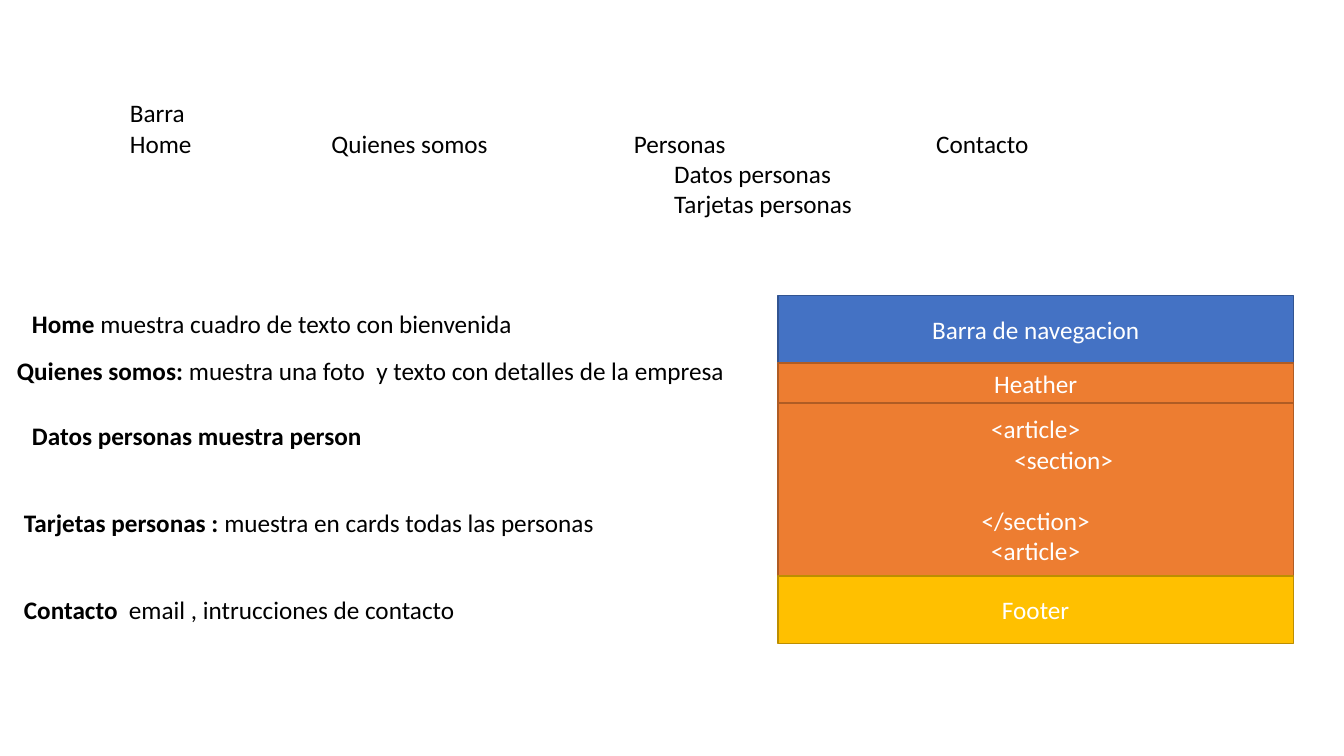
from pptx import Presentation
from pptx.dml.color import RGBColor
from pptx.enum.shapes import MSO_SHAPE as Shape
from pptx.enum.text import MSO_ANCHOR as Anchor, MSO_AUTO_SIZE as AutoSize, PP_ALIGN as Align
from pptx.oxml.ns import qn
from pptx.util import Pt
from lxml.etree import SubElement


def color(hex_string):
    return RGBColor.from_string(hex_string)


def add_run(paragraph, text, bold=False, fill="000000", size=18, font="Calibri"):
    run = paragraph.add_run()
    run.text = text
    run.font.name = font
    run.font.size = Pt(size)
    run.font.bold = bold
    run.font.color.rgb = color(fill)


def set_indent(paragraph, indent):
    paragraph._p.get_or_add_pPr().set("marL", str(Pt(indent)))


def set_tab_stops(paragraph, stops):
    tab_list = SubElement(paragraph._p.get_or_add_pPr(), qn("a:tabLst"))
    for stop in stops:
        SubElement(tab_list, qn("a:tab"), pos=str(Pt(stop)), algn="l")


def add_text_frame(slide, left, top, width, height):
    frame = slide.shapes.add_textbox(Pt(left), Pt(top), Pt(width), Pt(height)).text_frame
    frame.word_wrap = True
    frame.auto_size = AutoSize.SHAPE_TO_FIT_TEXT
    return frame


def add_menu(slide, left, top, width, height):
    frame = add_text_frame(slide, left, top, width, height)
    add_run(frame.paragraphs[0], "Barra")
    # Menu entries on tab stops
    entries = frame.add_paragraph()
    set_tab_stops(entries, (144, 360, 576))
    add_run(entries, "Home\tQuienes somos\tPersonas\tContacto")
    # Submenu below Personas
    for entry in ("Datos personas", "Tarjetas personas"):
        paragraph = frame.add_paragraph()
        set_indent(paragraph, 388.8)
        add_run(paragraph, entry)


def add_descriptions(slide, left, top, width):
    # Offset from left, offset from top, bold label, explanation
    descriptions = (
        (10.8, 0, "Home ", "muestra cuadro de texto con bienvenida"),
        (0, 33.4, "Quienes somos: ", "muestra una foto  y texto con detalles de la empresa"),
        (10.8, 80, "Datos personas muestra person", ""),
        (5, 142.4, "Tarjetas personas : ", "muestra en cards todas las personas"),
        (5, 204.6, "Contacto ", " email , intrucciones de contacto"),
    )
    for shift, drop, label, explanation in descriptions:
        frame = add_text_frame(slide, left + shift, top + drop, width - shift, 28.8)
        add_run(frame.paragraphs[0], label, bold=True)
        if explanation:
            add_run(frame.paragraphs[0], explanation)


def add_band(slide, left, top, width, height, fill, line, text):
    band = slide.shapes.add_shape(Shape.RECTANGLE, Pt(left), Pt(top), Pt(width), Pt(height))
    band.shadow.inherit = False
    band.fill.solid()
    band.fill.fore_color.rgb = color(fill)
    band.line.color.rgb = color(line)
    band.line.width = Pt(1)
    frame = band.text_frame
    frame.word_wrap = True
    frame.vertical_anchor = Anchor.MIDDLE
    for index, content in enumerate(text.split("\n")):
        paragraph = frame.add_paragraph() if index else frame.paragraphs[0]
        paragraph.alignment = Align.CENTER
        add_run(paragraph, content, fill="FFFFFF")
    return frame.paragraphs


def add_page_layout(slide, left, top, width):
    # Bands stacked from top to bottom
    bands = (
        (48.2, "4472C4", "325491", "Barra de navegacion"),
        (28.8, "ED7D31", "AF5C24", "Heather"),
        (123.6, "ED7D31", "AF5C24", "<article>\n<section>\n</section>\n<article>"),
        (48.2, "FFC000", "BD8E00", "Footer"),
    )
    for height, fill, line, text in bands:
        paragraphs = add_band(slide, left, top, width, height, fill, line, text)
        if len(paragraphs) > 1:
            # Nested tag, with room for its content
            set_indent(paragraphs[1], 40)
            paragraphs[2].space_before = Pt(22)
        top += height


def main():
    presentation = Presentation()
    presentation.slide_width, presentation.slide_height = Pt(960), Pt(540)
    slide = presentation.slides.add_slide(presentation.slide_layouts[6])
    add_menu(slide, 85.7, 66.2, 741.6, 94.3)
    add_descriptions(slide, 5, 216.7, 525)
    add_page_layout(slide, 555.8, 211, 368)
    presentation.save("out.pptx")


if __name__ == "__main__":
    main()
